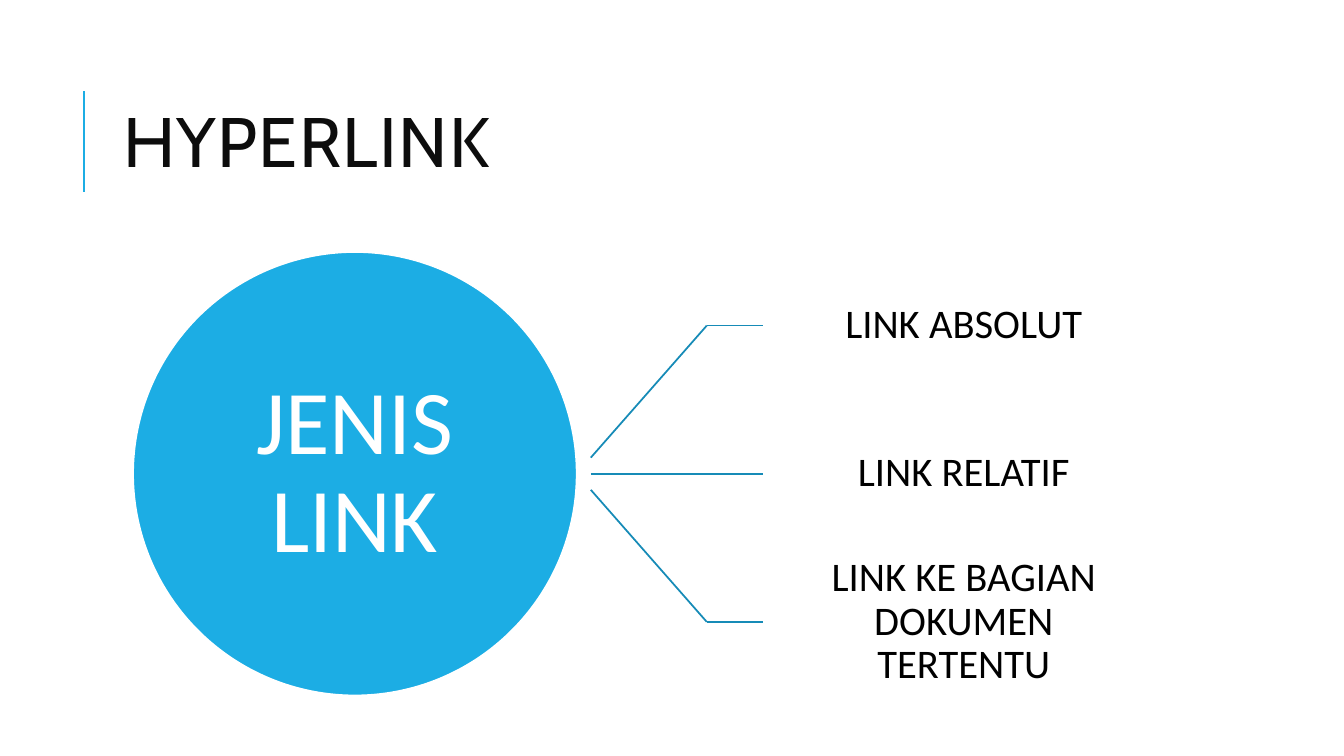
from dataclasses import dataclass

from lxml import etree
from pptx import Presentation
from pptx.dml.color import RGBColor
from pptx.enum.shapes import MSO_CONNECTOR, MSO_SHAPE
from pptx.enum.text import MSO_ANCHOR, MSO_AUTO_SIZE, PP_ALIGN
from pptx.oxml.ns import qn
from pptx.shapes.connector import Connector
from pptx.text.text import TextFrame
from pptx.util import Emu, Pt

STRAIGHT = MSO_CONNECTOR.STRAIGHT
OVAL = MSO_SHAPE.OVAL
MIDDLE = MSO_ANCHOR.MIDDLE
NO_FIT = MSO_AUTO_SIZE.NONE
LEFT, CENTER = PP_ALIGN.LEFT, PP_ALIGN.CENTER
LEFT_SIDE = 1

EMU_PER_PX = 9144
COLORS = {
    "accent": "1CADE4",
    "branch": "168BB7",
    "title": "0D0D0D",
    "label": "000000",
    "white": "FFFFFF",
}

LABELS = ["LINK ABSOLUT", "LINK RELATIF", "LINK KE BAGIAN DOKUMEN TERTENTU"]
HUB_X, HUB_Y, HUB_SIZE = 132, 250, 440
HUB_MIDDLE = HUB_Y + HUB_SIZE // 2
BRANCH_X, ELBOW_X, LABEL_X = 586, 701, 757
BRANCH_GAP = 16
LABEL_W, LABEL_H, LABEL_STEP = 398, 146, 147
LABEL_INSET = 23


@dataclass(frozen=True)
class TextStyle:
    font: str
    size: int
    color: str
    align: PP_ALIGN
    line_spacing: float
    inset: int | None = None
    tracking: int | None = None


TITLE = TextStyle("Cabin", 50, "title", LEFT, 0.8, tracking=100)
HUB = TextStyle("Calibri", 65, "white", CENTER, 0.9, inset=0)
LABEL = TextStyle("Calibri", 29, "label", CENTER, 0.9, inset=LABEL_INSET)


def px(n: int) -> Emu:
    return Emu(n * EMU_PER_PX)


def rgb(name: str) -> RGBColor:
    return RGBColor.from_string(COLORS[name])


def write(tf: TextFrame, text: str, style: TextStyle) -> None:
    tf.word_wrap = True
    tf.auto_size = NO_FIT
    tf.vertical_anchor = MIDDLE
    if style.inset is not None:
        tf.margin_left = tf.margin_right = px(style.inset)
        tf.margin_top = tf.margin_bottom = px(style.inset)
    p = tf.paragraphs[0]
    p.alignment = style.align
    p.line_spacing = style.line_spacing
    r = p.add_run()
    r.text = text
    r.font.name = style.font
    r.font.size = Pt(style.size)
    r.font.color.rgb = rgb(style.color)
    if style.tracking is not None:
        r.font._element.set("spc", str(style.tracking))


def add_line(shapes, x1: int, y1: int, x2: int, y2: int,
             color: str, width: float) -> Connector:
    line = shapes.add_connector(STRAIGHT, px(x1), px(y1), px(x2), px(y2))
    line.line.color.rgb = rgb(color)
    line.line.width = Pt(width)
    etree.SubElement(line._element.spPr, qn("a:effectLst"))
    return line


def add_title(shapes) -> None:
    add_line(shapes, 83, 190, 83, 90, "accent", 1.5)
    sp = shapes.title
    sp.left, sp.top, sp.width, sp.height = px(112), px(64), px(1063), px(164)
    write(sp.text_frame, "HYPERLINK", TITLE)


def add_hub(shapes) -> None:
    sp = shapes.add_shape(OVAL, px(HUB_X), px(HUB_Y), px(HUB_SIZE), px(HUB_SIZE))
    sp.shadow.inherit = False
    sp.fill.solid()
    sp.fill.fore_color.rgb = rgb("accent")
    sp.line.color.rgb = rgb("white")
    sp.line.width = Pt(1.25)
    write(sp.text_frame, "JENIS LINK", HUB)


def add_branch(shapes, offset: int, text: str) -> None:
    """Draw the label that lies offset steps below the hub's middle, and its line."""
    y = HUB_MIDDLE + offset * LABEL_STEP
    label = shapes.add_textbox(px(LABEL_X), px(y - LABEL_H // 2),
                               px(LABEL_W), px(LABEL_H))
    write(label.text_frame, text, LABEL)
    start_y = HUB_MIDDLE + offset * BRANCH_GAP
    add_line(shapes, BRANCH_X, start_y, ELBOW_X, y, "branch", 1.25)
    arm = add_line(shapes, ELBOW_X, y, LABEL_X, y, "branch", 1.25)
    arm.end_connect(label, LEFT_SIDE)


def main() -> None:
    prs = Presentation()
    prs.slide_width, prs.slide_height = px(1333), px(750)
    shapes = prs.slides.add_slide(prs.slide_layouts[5]).shapes
    add_title(shapes)
    add_hub(shapes)
    for offset, text in enumerate(LABELS, start=-1):
        add_branch(shapes, offset, text)
    prs.save("out.pptx")


if __name__ == "__main__":
    main()
